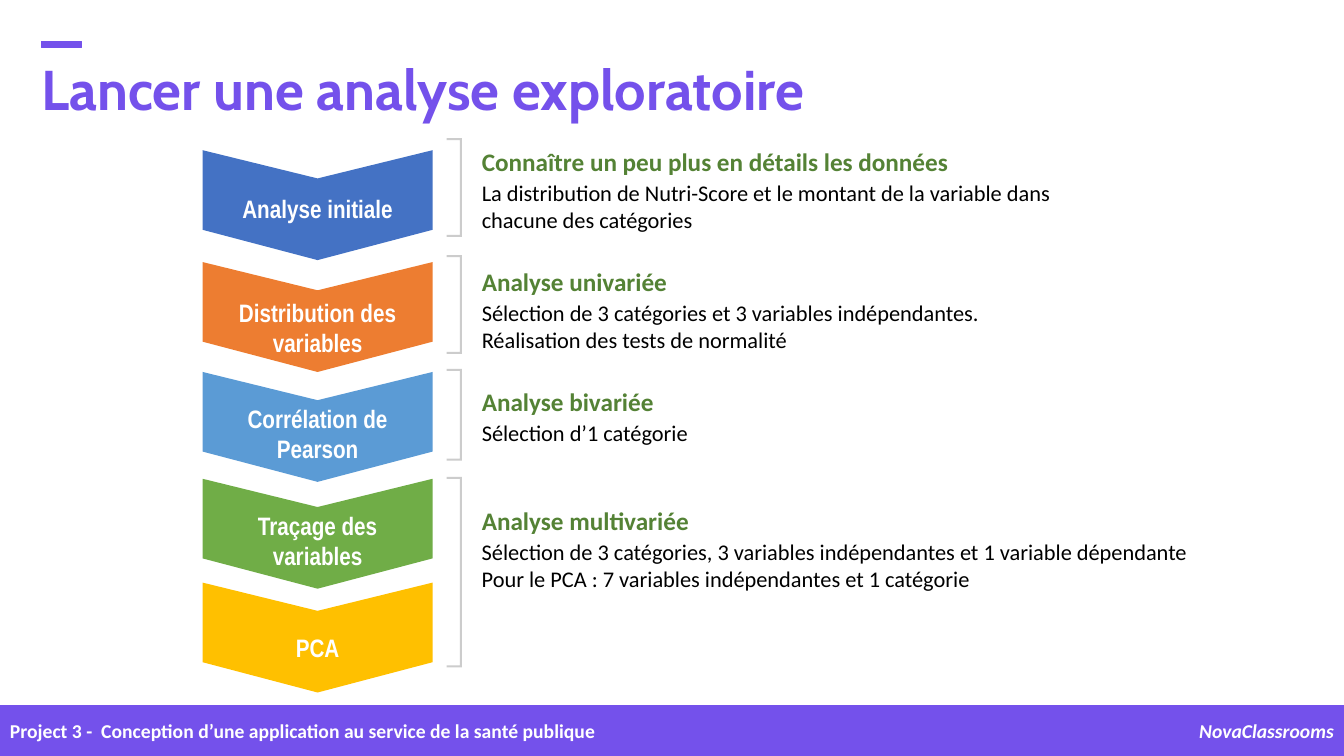
from pptx import Presentation
from pptx.dml.color import RGBColor
from pptx.enum.shapes import MSO_SHAPE as Shape
from pptx.enum.text import MSO_ANCHOR as Anchor, MSO_AUTO_SIZE as AutoSize, PP_ALIGN as Align
from pptx.util import Inches, Pt

COLORS = {
    "violet": "7451EB", "white": "FFFFFF", "black": "000000", "bracket": "CCCCCC",
    "heading": "548235", "blue": "4472C4", "orange": "ED7D31", "sky": "5B9BD5",
    "green": "70AD47", "gold": "FFC000",
}

# Chevron: top, offset of its label, colour, label
STEPS = [
    (1.49, 0.33, "blue", "Analyse initiale"),
    (2.6, 0.25, "orange", "Distribution des variables"),
    (3.69, 0.21, "sky", "Corrélation de Pearson"),
    (4.75, 0.21, "green", "Traçage des\nvariables"),
    (5.78, 0.39, "gold", "PCA"),
]

# Note: bracket top and height, heading top, text width, heading, text
NOTES = [
    (1.37, 0.98, 1.35, 6.55, "Connaître un peu plus en détails les données",
     "La distribution de Nutri-Score et le montant de la variable dans chacune des catégories"),
    (2.53, 0.98, 2.54, 6.55, "Analyse univariée",
     "Sélection de 3 catégories et 3 variables indépendantes.\n"
     "Réalisation des tests de normalité"),
    (3.66, 0.91, 3.73, 6.55, "Analyse bivariée", "Sélection d’1 catégorie"),
    (4.73, 1.89, 4.91, 7.66, "Analyse multivariée",
     "Sélection de 3 catégories, 3 variables indépendantes et 1 variable dépendante\n"
     "Pour le PCA : 7 variables indépendantes et 1 catégorie"),
]


def rgb(name):
    return RGBColor.from_string(COLORS[name])


def paint(shape, color, outlined=False):
    shape.shadow.inherit = False
    shape.fill.solid()
    shape.fill.fore_color.rgb = rgb(color)
    if outlined:
        shape.line.color.rgb = rgb(color)
        shape.line.width = Pt(1)
    else:
        shape.line.fill.background()


def write(text_frame, text, size, color, font="Calibri", bold=True, italic=False,
          align=Align.LEFT):
    text_frame.word_wrap = True
    text_frame.text = text
    for paragraph in text_frame.paragraphs:
        paragraph.alignment = align
        for run in paragraph.runs:
            run.font.name = font
            run.font.size = Pt(size)
            run.font.bold = bold
            run.font.italic = italic
            run.font.color.rgb = rgb(color)


def add_text(slide, box, text, size, color, margin=0.1, **style):
    shape = slide.shapes.add_textbox(*map(Inches, box))
    text_frame = shape.text_frame
    text_frame.margin_top = text_frame.margin_bottom = Inches(margin)
    write(text_frame, text, size, color, **style)


def add_bar(slide, box):
    bar = slide.shapes.add_shape(Shape.RECTANGLE, *map(Inches, box))
    paint(bar, "violet", outlined=True)


def add_outline(slide, points, color):
    start, *others = [(Inches(x), Inches(y)) for x, y in points]
    builder = slide.shapes.build_freeform(*start)
    builder.add_line_segments(others, close=True)
    paint(builder.convert_to_shape(), color)


def add_title(slide, left, top, width, height):
    # Accent dash above the title
    add_bar(slide, (left + 0.1, top - 0.06, 0.4, 0.06))
    title = slide.shapes.title
    title.left, title.top = Inches(left), Inches(top)
    title.width, title.height = Inches(width), Inches(height)
    write(title.text_frame, "Lancer une analyse exploratoire", 40, "violet", font="Cabin")
    title.text_frame.auto_size = AutoSize.NONE
    title.text_frame.vertical_anchor = Anchor.MIDDLE
    title.text_frame.paragraphs[0].line_spacing = 0.9


def add_step(slide, left, top, width, height, label_offset, color, label):
    right, middle = left + width, left + width / 2
    notch, shoulder = top + 0.28, top + height - 0.3
    add_outline(slide, [(left, top), (left, shoulder), (middle, top + height),
                        (right, shoulder), (right, top), (middle, notch)], color)
    add_text(slide, (left, top + label_offset, width, 0.43), label, 18, "white",
             font="Arial Narrow", align=Align.CENTER)


def add_bracket(slide, left, top, width, height):
    stroke = 0.02
    right, bottom = left + width, top + height
    inner = right - stroke
    add_outline(slide, [(left, top), (left, top + stroke), (inner, top + stroke),
                        (inner, bottom - stroke), (left, bottom - stroke),
                        (left, bottom), (right, bottom), (right, top)], "bracket")


def add_note(slide, left, top, width, heading, text):
    add_text(slide, (left, top, 5.31, 0.43), heading, 18, "heading")
    add_text(slide, (left, top + 0.33, width, 0.7), text, 16, "black", bold=False)


def add_footer(slide, left, top, width, height):
    add_bar(slide, (left, top, width, height))
    text_top = top + 0.08
    add_text(slide, (left, text_top, width / 2, 0.34),
             "Project 3 -  Conception d’une application au service de la santé publique",
             14, "white", margin=0.05)
    add_text(slide, (left + width - 1.8, text_top, 1.8, 0.34), "NovaClassrooms",
             14, "white", margin=0.05, italic=True, align=Align.RIGHT)


def main():
    presentation = Presentation()
    presentation.slide_width, presentation.slide_height = Inches(13.33), Inches(7.5)
    slide = presentation.slides.add_slide(presentation.slide_layouts[5])

    add_title(slide, 0.31, 0.47, 12.03, 0.9)
    for top, label_offset, color, label in STEPS:
        add_step(slide, 2.01, top, 2.28, 1.09, label_offset, color, label)
    for bracket_top, bracket_height, top, width, heading, text in NOTES:
        add_bracket(slide, 4.43, bracket_top, 0.15, bracket_height)
        add_note(slide, 4.68, top, width, heading, text)
    add_footer(slide, 0, 7, 13.33, 0.5)

    presentation.save("out.pptx")


if __name__ == "__main__":
    main()
